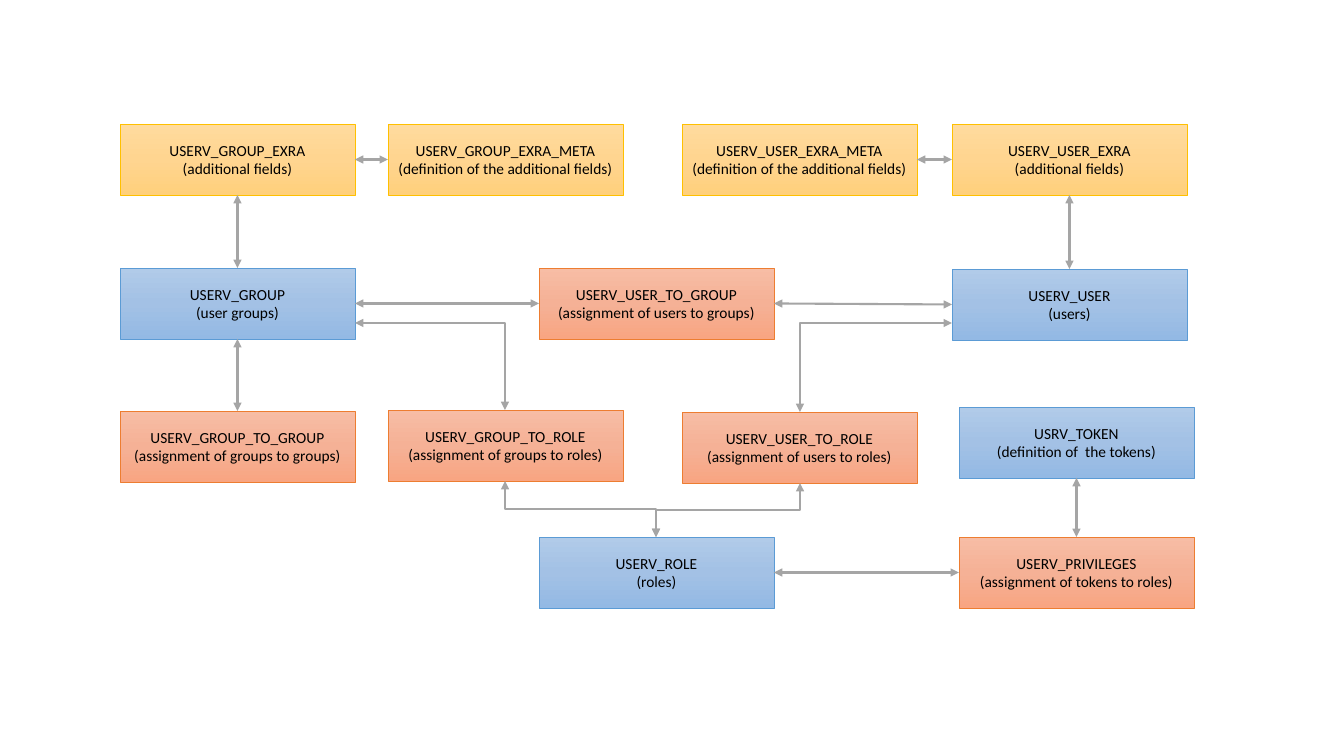
from copy import deepcopy
from dataclasses import dataclass

from pptx import Presentation
from pptx.dml.color import RGBColor
from pptx.enum.shapes import MSO_CONNECTOR as CONN, MSO_SHAPE
from pptx.enum.text import MSO_ANCHOR, PP_ALIGN
from pptx.oxml.ns import qn
from pptx.oxml.xmlchemy import OxmlElement
from pptx.util import Pt

EMU_PER_PX = 914400 / 100.8
BOX_W, BOX_H = 235, 71
TOP, LEFT, BOTTOM, RIGHT = range(4)  # connection sites of a rectangle


@dataclass(frozen=True)
class Theme:
    """Colours and sizes; each box kind has three gradient stops and a line."""
    extra: tuple = ("FFDB9E", "FFD590", "FFD07C", "FFC000")
    entity: tuple = ("B1CBE9", "A3C1E5", "93B9E4", "5B9BD5")
    assign: tuple = ("F7BDA5", "F5B196", "F8A582", "ED7D31")
    text: str = "000000"
    arrow: str = "A5A5A5"
    font: str = "Calibri"
    size: float = 11
    box_line: float = 0.5
    arrow_line: float = 1.5


THEME = Theme()

# table name, description, kind, left, top
BOXES = [
    ("USERV_GROUP_EXRA", "additional fields", THEME.extra, 120, 124),
    ("USERV_GROUP_EXRA_META", "definition of the additional fields", THEME.extra, 388, 124),
    ("USERV_USER_EXRA_META", "definition of the additional fields", THEME.extra, 682, 124),
    ("USERV_USER_EXRA", "additional fields", THEME.extra, 952, 124),
    ("USERV_GROUP", "user groups", THEME.entity, 120, 268),
    ("USERV_USER", "users", THEME.entity, 952, 269),
    ("USERV_USER_TO_GROUP", "assignment of users to groups", THEME.assign, 539, 268),
    ("USERV_ROLE", "roles", THEME.entity, 539, 537),
    ("USERV_GROUP_TO_GROUP", "assignment of groups to groups", THEME.assign, 120, 411),
    ("USERV_GROUP_TO_ROLE", "assignment of groups to roles", THEME.assign, 388, 410),
    ("USERV_USER_TO_ROLE", "assignment of users to roles", THEME.assign, 682, 412),
    ("USRV_TOKEN", "definition of  the tokens", THEME.entity, 959, 407),
    ("USERV_PRIVILEGES", "assignment of tokens to roles", THEME.assign, 959, 537),
]

# from box, its side, to box, its side
LINKS = [
    ("USERV_GROUP_EXRA", RIGHT, "USERV_GROUP_EXRA_META", LEFT),
    ("USERV_USER_EXRA_META", RIGHT, "USERV_USER_EXRA", LEFT),
    ("USERV_GROUP_EXRA", BOTTOM, "USERV_GROUP", TOP),
    ("USERV_GROUP", BOTTOM, "USERV_GROUP_TO_GROUP", TOP),
    ("USERV_GROUP", RIGHT, "USERV_USER_TO_GROUP", LEFT),
    ("USERV_USER_TO_GROUP", RIGHT, "USERV_USER", LEFT),
    ("USERV_USER_EXRA", BOTTOM, "USERV_USER", TOP),
    ("USRV_TOKEN", BOTTOM, "USERV_PRIVILEGES", TOP),
    ("USERV_PRIVILEGES", LEFT, "USERV_ROLE", RIGHT),
]

# x and y of the start, x and y of the end
CORNERS = [(355, 323, 505, 410), (952, 323, 800, 412)]
STEPS = [(505, 481, 656, 537), (800, 483, 656, 537)]


def px(n):
    """Turn pixels into EMU."""
    return round(n * EMU_PER_PX)


def rgb(code):
    """Turn a hex code into a colour."""
    return RGBColor.from_string(code)


def write(tf, lines, *, size=THEME.size, color=THEME.text, align=PP_ALIGN.CENTER):
    """Write lines into a text frame, one paragraph each."""
    tf.word_wrap = True
    tf.vertical_anchor = MSO_ANCHOR.MIDDLE
    tf.margin_left = tf.margin_right = px(5)
    for i, line in enumerate(lines):
        p = tf.paragraphs[0] if i == 0 else tf.add_paragraph()
        p.alignment = align
        r = p.add_run()
        r.text = line
        r.font.name, r.font.size = THEME.font, Pt(size)
        r.font.color.rgb = rgb(color)


def fill_gradient(sp, colors):
    """Fill a shape from top to bottom with three evenly spaced colours."""
    sp.fill.gradient()
    sp.fill.gradient_angle = 270
    stops = sp._element.spPr.find(".//" + qn("a:gsLst"))
    stops.insert(1, deepcopy(stops[0]))
    for i, (stop, color) in enumerate(zip(sp.fill.gradient_stops, colors)):
        stop.color.rgb = rgb(color)
        stop.position = i / 2


def add_box(s, name, note, kind, left, top):
    """Add the box of one database table."""
    sp = s.shapes.add_shape(MSO_SHAPE.RECTANGLE, px(left), px(top), px(BOX_W), px(BOX_H))
    sp.shadow.inherit = False
    *colors, line = kind
    fill_gradient(sp, colors)
    sp.line.color.rgb = rgb(line)
    sp.line.width = Pt(THEME.box_line)
    write(sp.text_frame, [name, f"({note})"])
    return sp


def add_arrow(s, kind, x1=0, y1=0, x2=0, y2=0):
    """Add a connector with an arrowhead at both ends."""
    cxn = s.shapes.add_connector(kind, px(x1), px(y1), px(x2), px(y2))
    cxn.line.color.rgb = rgb(THEME.arrow)
    cxn.line.width = Pt(THEME.arrow_line)
    ln = cxn.line._get_or_add_ln()
    for tag in ("a:headEnd", "a:tailEnd"):
        end = OxmlElement(tag)
        end.set("type", "triangle")
        ln.append(end)
    cxn._element.spPr.append(OxmlElement("a:effectLst"))
    return cxn


def add_link(s, start, start_side, end, end_side):
    """Join the sides of two boxes with a straight arrow."""
    cxn = add_arrow(s, CONN.STRAIGHT)
    cxn.begin_connect(start, start_side)
    cxn.end_connect(end, end_side)


def add_corner(s, x1, y1, x2, y2):
    """Add an arrow that runs across and then down."""
    cxn = add_arrow(s, CONN.ELBOW, x1, y1, x2, y2)
    cxn._element.spPr.find(qn("a:prstGeom")).set("prst", "bentConnector2")


def add_step(s, x1, y1, x2, y2):
    """Add an arrow that runs down, across and down: a turned elbow."""
    cx, cy = (x1 + x2) / 2, (y1 + y2) / 2
    half_w, half_h = (y2 - y1) / 2, abs(x2 - x1) / 2
    turn, angle = (1, 90) if x1 > x2 else (-1, 270)
    cxn = add_arrow(s, CONN.ELBOW, cx - turn * half_w, cy - half_h,
                    cx + turn * half_w, cy + half_h)
    cxn._element.spPr.find(qn("a:xfrm")).set("rot", str(angle * 60000))


def main():
    """Build the table diagram."""
    prs = Presentation()
    prs.slide_width, prs.slide_height = px(1344), px(756)
    s = prs.slides.add_slide(prs.slide_layouts[6])
    boxes = {box[0]: add_box(s, *box) for box in BOXES}
    for start, start_side, end, end_side in LINKS:
        add_link(s, boxes[start], start_side, boxes[end], end_side)
    for corner in CORNERS:
        add_corner(s, *corner)
    for step in STEPS:
        add_step(s, *step)
    prs.save("out.pptx")


main()
